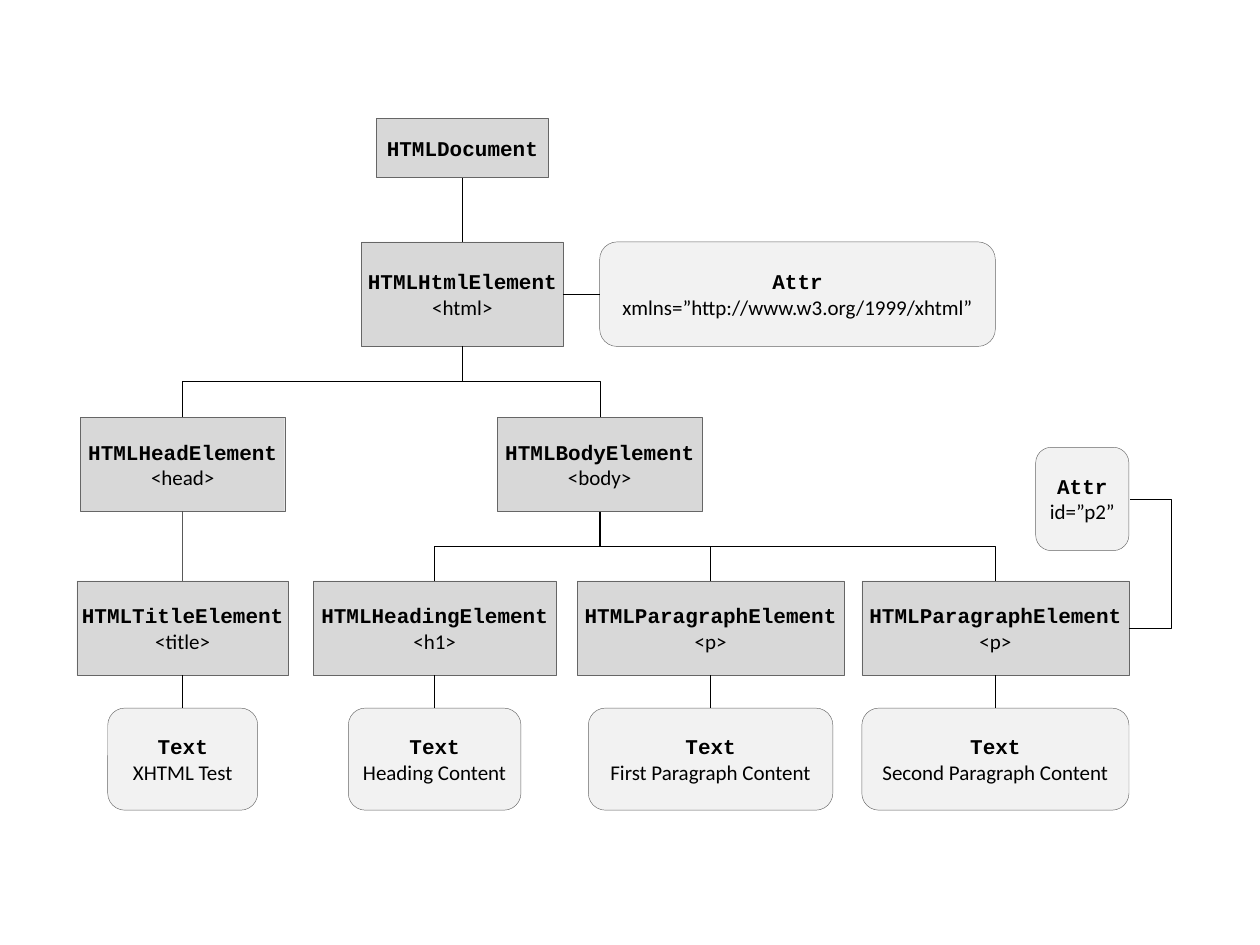
"""Draw the DOM tree of a small XHTML document."""
from lxml.etree import SubElement
from pptx import Presentation
from pptx.dml.color import RGBColor
from pptx.enum.shapes import MSO_CONNECTOR as CONN, MSO_SHAPE as SHAPE
from pptx.enum.text import MSO_ANCHOR, PP_ALIGN
from pptx.oxml.ns import qn
from pptx.util import Inches, Pt

BLACK = RGBColor(0x00, 0x00, 0x00)
BORDER = RGBColor(0x66, 0x66, 0x66)
ELEMENT = RGBColor(0xD8, 0xD8, 0xD8)
LEAF = RGBColor(0xF2, 0xF2, 0xF2)
TOP, LEFT, BOTTOM, RIGHT = range(4)

COLS = {"title": 1.45, "h1": 3.45, "root": 3.67, "body": 4.76,
        "p1": 5.64, "xmlns": 6.33, "p2": 7.9, "id": 8.59}
ROWS = {"document": (0.94, 0.47), "html": (1.92, 0.83), "section": (3.31, 0.75),
        "id": (3.55, 0.82), "block": (4.61, 0.75), "text": (5.62, 0.81)}

NODES = [
    ("document", "root", "document", 1.36, "HTMLDocument", None),
    ("html", "root", "html", 1.6, "HTMLHtmlElement", "<html>"),
    ("head", "title", "section", 1.62, "HTMLHeadElement", "<head>"),
    ("title", "title", "block", 1.68, "HTMLTitleElement", "<title>"),
    ("body", "body", "section", 1.62, "HTMLBodyElement", "<body>"),
    ("p1", "p1", "block", 2.12, "HTMLParagraphElement", "<p>"),
    ("h1", "h1", "block", 1.93, "HTMLHeadingElement", "<h1>"),
    ("xmlns", "xmlns", "html", 3.14, "Attr", "xmlns=”http://www.w3.org/1999/xhtml”"),
    ("p2", "p2", "block", 2.12, "HTMLParagraphElement", "<p>"),
    ("title text", "title", "text", 1.19, "Text", "XHTML Test"),
    ("h1 text", "h1", "text", 1.37, "Text", "Heading Content"),
    ("p1 text", "p1", "text", 1.94, "Text", "First Paragraph Content"),
    ("p2 text", "p2", "text", 2.12, "Text", "Second Paragraph Content"),
    ("id", "id", "id", 0.74, "Attr", "id=”p2”"),
]
STRAIGHT = [("document", "html", BOTTOM, TOP), ("html", "xmlns", RIGHT, LEFT),
            ("head", "title", BOTTOM, TOP)]
STRAIGHT += [(tag, f"{tag} text", BOTTOM, TOP) for tag in ("p2", "p1", "h1", "title")]
BRANCHES = [("html", "head"), ("html", "body"),
            ("body", "h1"), ("body", "p1"), ("body", "p2")]

prs = Presentation()
prs.slide_width, prs.slide_height = Inches(10), Inches(7.5)
s = prs.slides.add_slide(prs.slide_layouts[6])
boxes = {}


def join(kind, start, end, start_side, end_side):
    c = s.shapes.add_connector(kind, 0, 0, 0, 0)
    c.begin_connect(boxes[start], start_side)
    c.end_connect(boxes[end], end_side)
    c.line.color.rgb = BLACK
    c.line.width = Pt(0.25)
    SubElement(c._element.spPr, qn("a:effectLst"))
    return c


def bend(c, x, y, w, h, share, **turn):
    c.left, c.top, c.width, c.height = int(x), int(y), int(w), int(h)
    xfrm = c._element.spPr.find(qn("a:xfrm"))
    for key in ("rot", "flipH", "flipV"):
        xfrm.set(key, str(turn.get(key, 0)))
    guides = c._element.spPr.find(qn("a:prstGeom")).find(qn("a:avLst"))
    SubElement(guides, qn("a:gd"), name="adj1", fmla=f"val {int(share * 100000)}")


for key, col, row, w, name, detail in NODES:
    leaf = name in ("Attr", "Text")
    y, h = ROWS[row]
    sp = s.shapes.add_shape(SHAPE.ROUNDED_RECTANGLE if leaf else SHAPE.RECTANGLE,
                            Inches(COLS[col] - w / 2), Inches(y), Inches(w), Inches(h))
    sp.shadow.inherit = False
    sp.fill.solid()
    sp.fill.fore_color.rgb = LEAF if leaf else ELEMENT
    sp.line.color.rgb = BORDER
    sp.line.width = Pt(0.25)
    tf = sp.text_frame
    tf.word_wrap = True
    tf.vertical_anchor = MSO_ANCHOR.MIDDLE
    tf.margin_left = tf.margin_right = 0
    tf.text = f"{name}\n{detail}" if detail else name
    for p, font, bold in zip(tf.paragraphs, ("Courier New", "Calibri"), (True, False)):
        p.alignment = PP_ALIGN.CENTER
        p.font.name, p.font.size, p.font.bold = font, Pt(12), bold
        p.font.color.rgb = BLACK
    boxes[key] = sp

for link in STRAIGHT:
    join(CONN.STRAIGHT, *link)

for parent, child in BRANCHES:
    c = join(CONN.ELBOW, parent, child, BOTTOM, TOP)
    run, drop = c.end_x - c.begin_x, c.end_y - c.begin_y
    mid_x, mid_y = (c.begin_x + c.end_x) / 2, (c.begin_y + c.end_y) / 2
    turn = {"rot": 270 * 60000, "flipH": 1} if run > 0 else {"rot": 90 * 60000}
    bend(c, mid_x - drop / 2, mid_y - abs(run) / 2, drop, abs(run), 0.5, **turn)

c = join(CONN.ELBOW, "p2", "id", RIGHT, RIGHT)
bend(c, c.begin_x, c.end_y, Inches(0.01), c.begin_y - c.end_y, 34, flipV=1)

prs.save("out.pptx")
